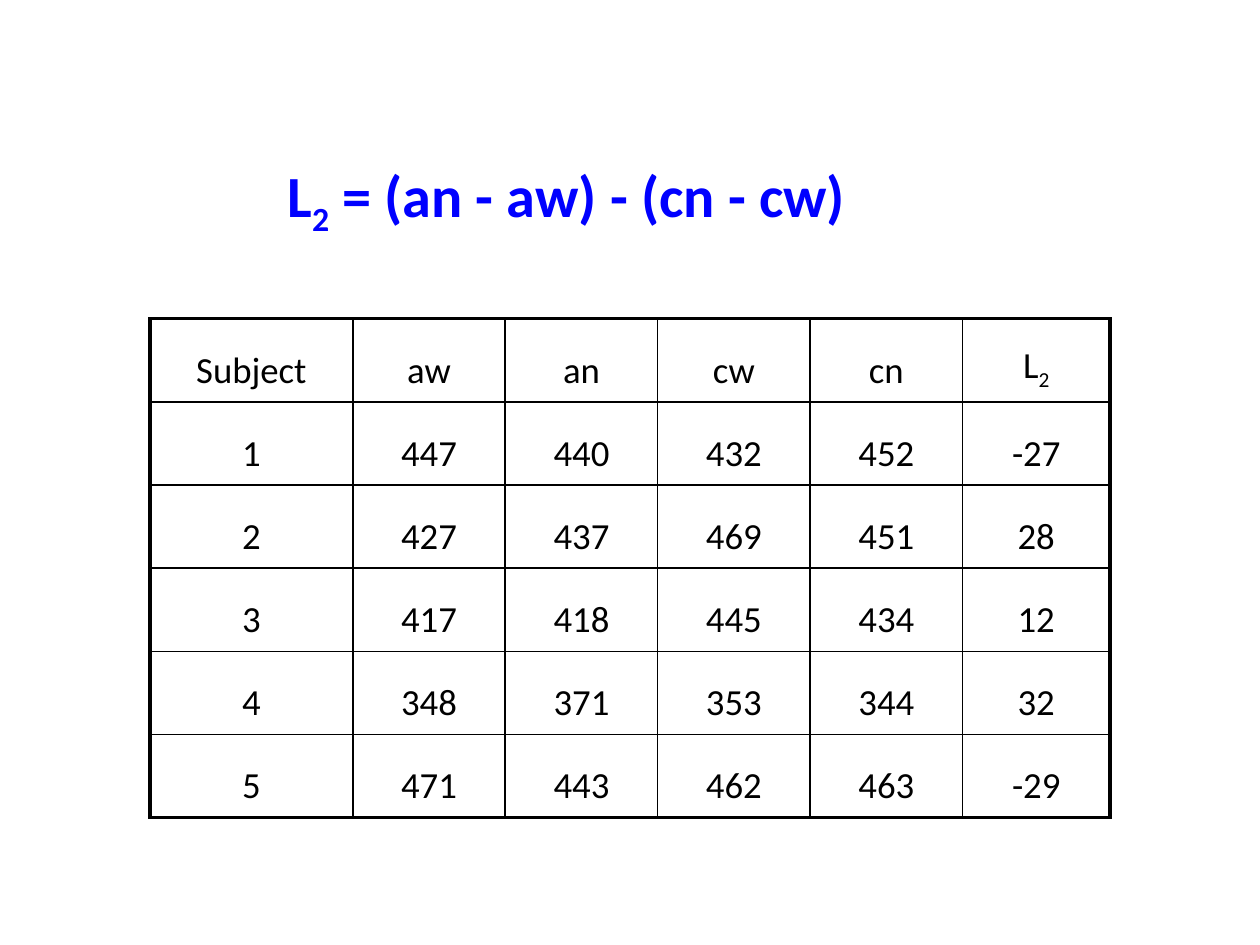
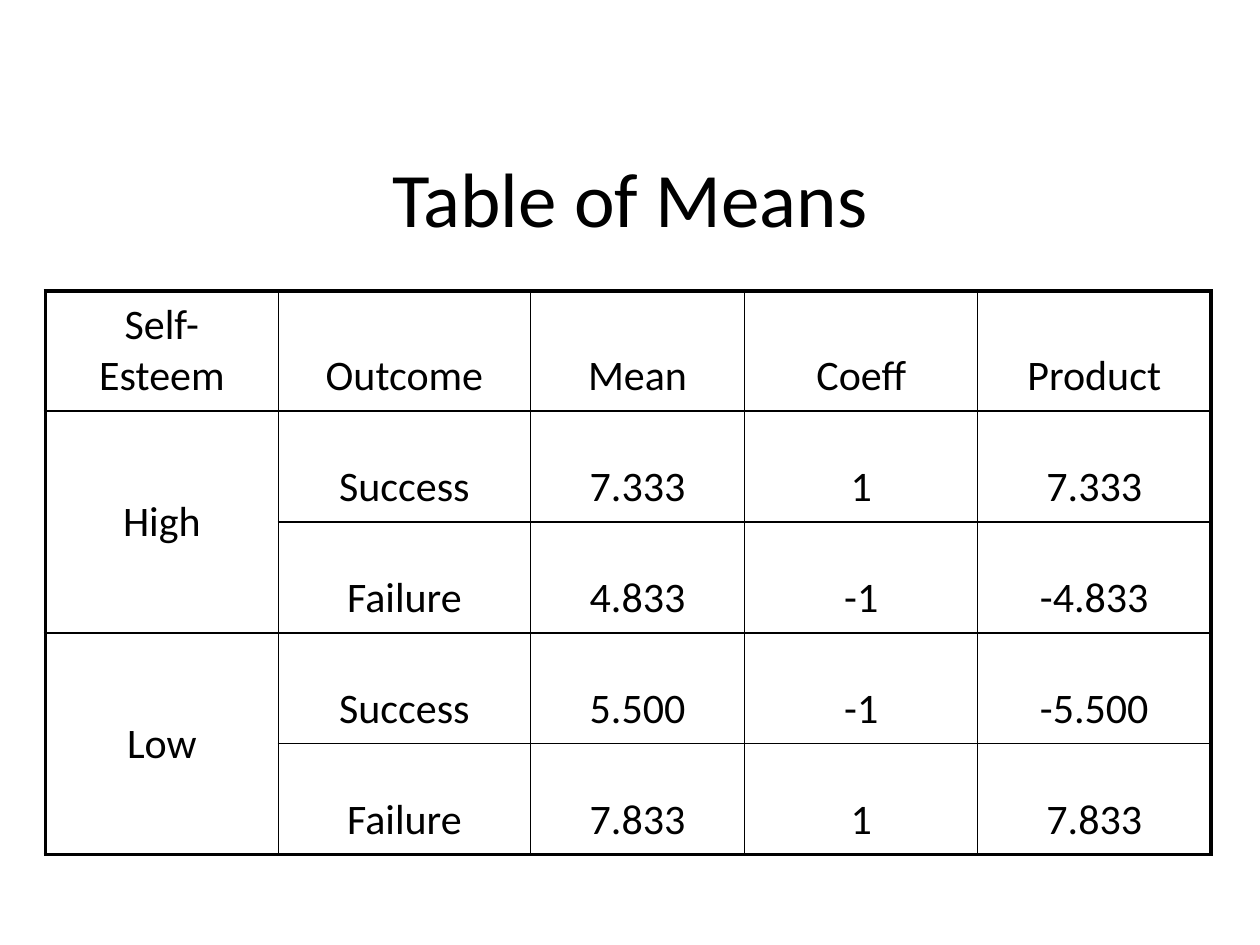
"""Build two slides: a contrast score per subject and a table of means."""
from lxml import etree
from pptx import Presentation
from pptx import util as u
from pptx.dml.color import RGBColor
from pptx.enum import text
from pptx.oxml import ns

BLACK = RGBColor(0x00, 0x00, 0x00)
BLUE = RGBColor(0x00, 0x00, 0xFF)
FONT = "Calibri"
OUTER, INNER = 2.25, 1
INSET_X, INSET_Y = u.Inches(0.14), u.Inches(0.07)
MIDDLE, BOTTOM, TOP = (text.MSO_ANCHOR.MIDDLE, text.MSO_ANCHOR.BOTTOM,
                       text.MSO_ANCHOR.TOP)
LEFT, CENTER = text.PP_ALIGN.LEFT, text.PP_ALIGN.CENTER


def write(frame, content, size, color=BLACK, bold=False, align=CENTER):
    """Write content, where every second part between bars is a subscript."""
    paragraph = frame.paragraphs[0]
    paragraph.alignment = align
    paragraph.space_before = u.Pt(0)
    for index, part in enumerate(content.split("|")):
        run = paragraph.add_run()
        run.text = part
        run.font.name, run.font.size = FONT, u.Pt(size)
        run.font.bold, run.font.color.rgb = bold, color
        if index % 2:
            run.font._element.set("baseline", "-25000")


def set_borders(cell, widths):
    """Draw the left, right, top and bottom borders of a cell in points."""
    properties = cell._tc.get_or_add_tcPr()
    for side, width in zip("LRTB", widths):
        line = etree.SubElement(properties, ns.qn(f"a:ln{side}"), w=str(u.Pt(width)))
        fill = etree.SubElement(line, ns.qn("a:solidFill"))
        etree.SubElement(fill, ns.qn("a:srgbClr"), val=str(BLACK))


scores = [
    ["Subject", "aw", "an", "cw", "cn", "L|2"],
    ["1", "447", "440", "432", "452", "-27"],
    ["2", "427", "437", "469", "451", "28"],
    ["3", "417", "418", "445", "434", "12"],
    ["4", "348", "371", "353", "344", "32"],
    ["5", "471", "443", "462", "463", "-29"],
]
means = [
    ["Self-Esteem", "Outcome", "Mean", "Coeff", "Product"],
    ["High", "Success", "7.333", "1", "7.333"],
    ["", "Failure", "4.833", "-1", "-4.833"],
    ["Low", "Success", "5.500", "-1", "-5.500"],
    ["", "Failure", "7.833", "1", "7.833"],
]
pages = [
    dict(heading="L|2| = (an - aw) - (cn - cw)", place=(2.14, 1.19, 6.55, 0.7),
         style=dict(size=33.3, color=BLUE, bold=True, align=LEFT),
         anchor=TOP, insets=(INSET_X, INSET_Y),
         rows=scores, corner=(1.19, 2.53), size=21,
         widths=[1.61] + [1.21] * 4 + [1.17], heights=[0.66] * 6),
    dict(heading="Table of Means", place=(0.75, 1.01, 8.5, 1.11),
         style=dict(size=44), anchor=MIDDLE, insets=(u.Inches(0.1), u.Inches(0.05)),
         rows=means, corner=(0.36, 2.31), size=24,
         widths=[1.85, 2, 1.7, 1.85, 1.85], heights=[0.93] + [0.88] * 4),
]

deck = Presentation()
deck.slide_width, deck.slide_height = u.Inches(10), u.Inches(7.5)

for page in pages:
    slide = deck.slides.add_slide(deck.slide_layouts[5])
    heading = slide.shapes.title
    heading.left, heading.top, heading.width, heading.height = map(u.Inches, page["place"])
    frame = heading.text_frame
    frame.word_wrap = True
    frame.auto_size = text.MSO_AUTO_SIZE.NONE
    frame.vertical_anchor = page["anchor"]
    frame.margin_left = frame.margin_right = page["insets"][0]
    frame.margin_top = frame.margin_bottom = page["insets"][1]
    write(frame, page["heading"], **page["style"])

    rows, widths, heights = page["rows"], page["widths"], page["heights"]
    extent = (*page["corner"], sum(widths), sum(heights))
    grid = slide.shapes.add_table(len(rows), len(widths), *map(u.Inches, extent)).table
    grid.first_row = grid.horz_banding = False
    for column, width in zip(grid.columns, widths):
        column.width = u.Inches(width)
    for row, height in zip(grid.rows, heights):
        row.height = u.Inches(height)

    for r, values in enumerate(rows):
        if not values[0]:
            grid.cell(r - 1, 0).merge(grid.cell(r, 0))
    for r, values in enumerate(rows):
        for c, value in enumerate(values):
            cell = grid.cell(r, c)
            last_row = r + cell.span_height == len(rows)
            edges = (c == 0, c == len(widths) - 1, r == 0, last_row)
            set_borders(cell, [OUTER if edge else INNER for edge in edges])
            cell.fill.background()
            cell.margin_left = cell.margin_right = INSET_X
            cell.margin_top = cell.margin_bottom = INSET_Y
            cell.vertical_anchor = MIDDLE if cell.is_merge_origin else BOTTOM
            if value:
                write(cell.text_frame, value, page["size"])

deck.save("out.pptx")
